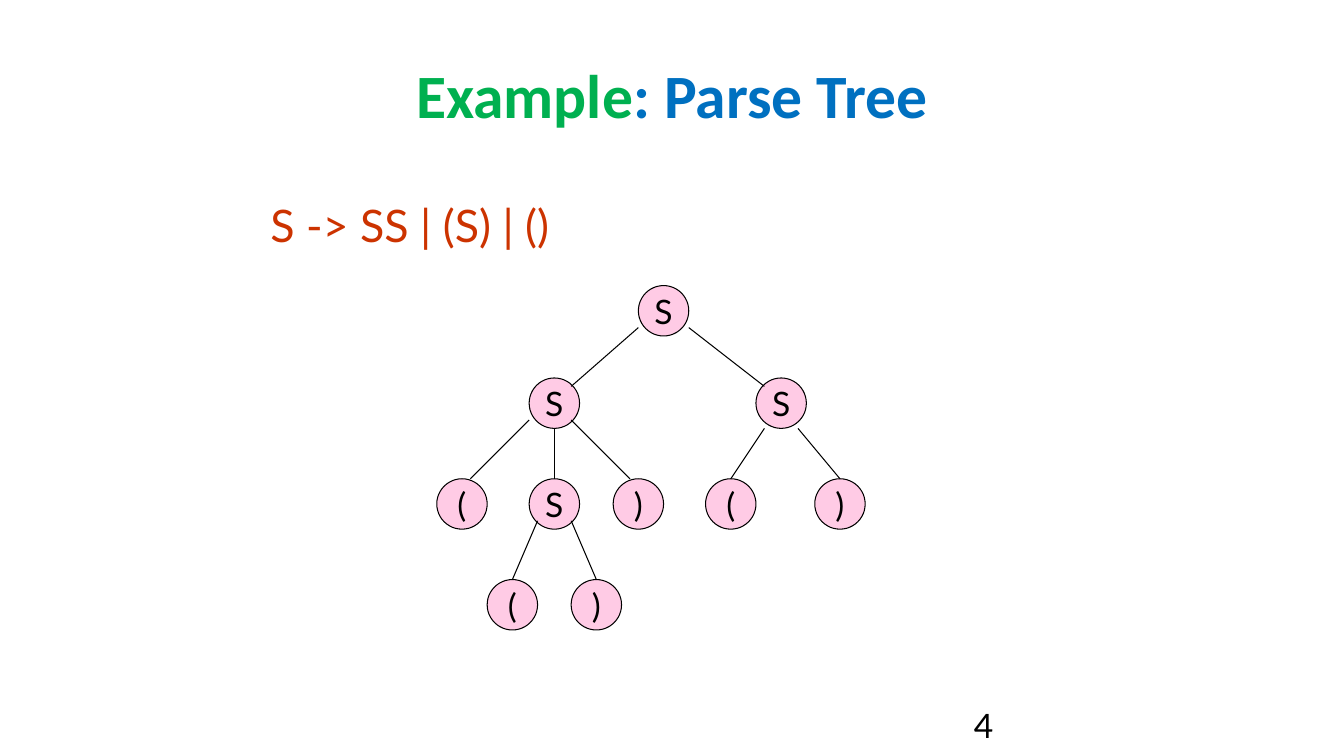
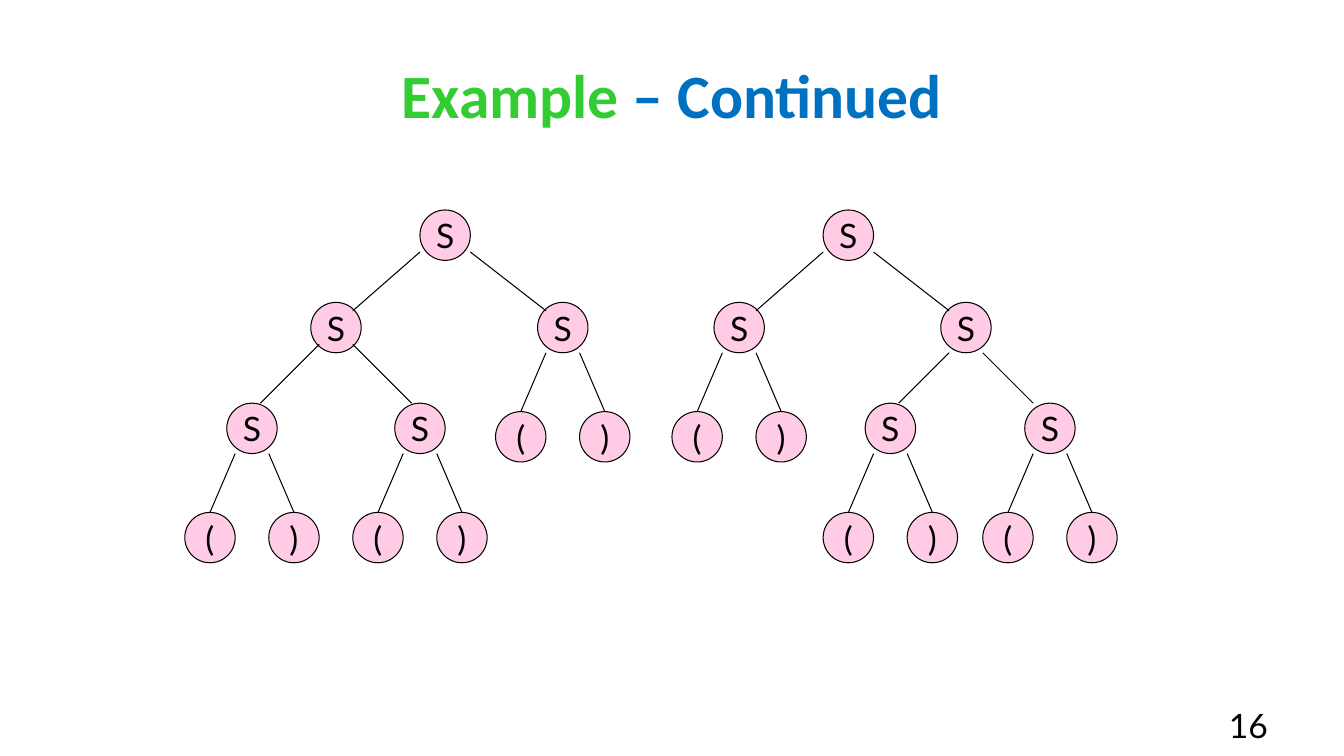
from dataclasses import dataclass

from lxml import etree
from pptx import Presentation
from pptx.dml.color import RGBColor
from pptx.enum.shapes import MSO_CONNECTOR as CONN, MSO_SHAPE as SHAPE
from pptx.enum.text import MSO_ANCHOR as ANCHOR, PP_ALIGN as ALIGN
from pptx.oxml.ns import qn
from pptx.util import Emu, Pt

PX = 9525
NODE = 48
BLACK, PINK, BLUE, RED = "000000", "FF99CC", "0070C0", "CC3300"
GREEN, LIME = "00B050", "33CC33"
TITLE_FONT, BODY_FONT = "Calibri", "Lato"
TOP = (NODE // 2, 0)


@dataclass
class Node:
    """Tree node: offset from its parent, edge start on the parent, edge end on itself."""
    label: str
    offset: tuple
    start: tuple = TOP
    end: tuple = TOP
    kids: tuple = ()


def px(*values):
    """Turn pixel lengths into EMU."""
    return [Emu(v * PX) for v in values]


def rgb(color):
    """Turn a hex string into a colour."""
    return RGBColor.from_string(color)


def shift(point, offset):
    """Move a point by an offset."""
    return point[0] + offset[0], point[1] + offset[1]


def add_run(p, text, size, color, font=BODY_FONT, bold=False):
    """Add one formatted run to a paragraph."""
    r = p.add_run()
    r.text = text
    r.font.name, r.font.size, r.font.bold = font, Pt(size), bold
    r.font.color.rgb = rgb(color)


def add_title(slide, lead, lead_color, rest):
    """Place the two-coloured title in the title placeholder."""
    sp = slide.shapes.title
    sp.left, sp.top, sp.width, sp.height = px(64, 29, 1152, 120)
    tf = sp.text_frame
    tf.vertical_anchor = ANCHOR.MIDDLE
    p = tf.paragraphs[0]
    p.alignment = ALIGN.CENTER
    add_run(p, lead, 44, lead_color, TITLE_FONT, True)
    add_run(p, rest, 44, BLUE, TITLE_FONT, True)


def add_text(slide, box, text, size, color, align=ALIGN.LEFT):
    """Add a one-line text box."""
    tf = slide.shapes.add_textbox(*px(*box)).text_frame
    tf.word_wrap = True
    p = tf.paragraphs[0]
    p.alignment = align
    add_run(p, text, size, color)


def add_number(slide, number, align):
    """Add the slide number at the foot."""
    add_text(slide, (918, 667, 299, 38), number, 24, BLACK, align)


def add_circle(slide, at, label):
    """Add a half-transparent labelled circle."""
    sp = slide.shapes.add_shape(SHAPE.OVAL, *px(*at, NODE, NODE))
    sp.shadow.inherit = False
    sp.fill.solid()
    sp.fill.fore_color.rgb = rgb(PINK)
    fill = sp.fill._xPr.find(qn("a:solidFill"))
    etree.SubElement(fill[0], qn("a:alpha"), val="50000")
    sp.line.color.rgb = rgb(BLACK)
    sp.line.width = Pt(0.75)
    tf = sp.text_frame
    tf.word_wrap = False
    tf.vertical_anchor = ANCHOR.MIDDLE
    p = tf.paragraphs[0]
    p.alignment = ALIGN.CENTER
    add_run(p, label, 24, BLACK)
    return sp


def add_edge(slide, begin, end):
    """Add a thin black line between two points."""
    line = slide.shapes.add_connector(CONN.STRAIGHT, *px(*begin, *end))
    line.line.color.rgb = rgb(BLACK)
    line.line.width = Pt(0.75)
    etree.SubElement(line._element.spPr, qn("a:effectLst"))
    return line


def add_tree(slide, node, origin=(0, 0)):
    """Draw a node, its subtrees and the edges to them."""
    at = shift(origin, node.offset)
    sp = add_circle(slide, at, node.label)
    for kid in node.kids:
        kid_sp = add_tree(slide, kid, at)
        end = shift(shift(at, kid.offset), kid.end)
        edge = add_edge(slide, shift(at, kid.start), end)
        if kid.end == TOP:
            edge.end_connect(kid_sp, 0)
    return sp


def brackets(left=-40, right=40, drop=104, exit_y=NODE):
    """Return the two leaves of S -> ()."""
    return (Node("(", (left, drop), (8, exit_y)),
            Node(")", (right, drop), (40, exit_y)))


def root(at, left_kids, right_kids):
    """Return a root S with two S children."""
    return Node("S", at, kids=(
        Node("S", (-104, 88), (0, 40), (40, 8), left_kids),
        Node("S", (112, 88), (48, 40), (8, 8), right_kids)))


def split(left, right_end, exit_y):
    """Return two S children that each derive ()."""
    return (Node("S", (left, 96), (8, exit_y), (32, 0), brackets()),
            Node("S", (80, 96), (40, exit_y), (right_end, 0), brackets()))


def build_parse_tree(slide):
    """Build the slide with the grammar and one parse tree."""
    add_title(slide, "Example", GREEN, ": Parse Tree")
    add_text(slide, (248, 184, 339, 60), "S -> SS | (S) | ()", 32, RED)
    nested = (Node("(", (-88, 96), (0, 40), (32, 0)),
              Node("S", (0, 96), (24, NODE), TOP, brackets(drop=96, exit_y=40)),
              Node(")", (80, 96), (40, 40), (16, 0)))
    add_tree(slide, root((608, 272), nested, brackets(-48, 56, 96)))
    add_number(slide, "4", ALIGN.LEFT)


def build_two_trees(slide):
    """Build the slide with two parse trees of the same string."""
    add_title(slide, "Example", LIME, " – Continued")
    add_tree(slide, root((400, 200), split(-80, 16, 40), brackets()))
    add_tree(slide, root((784, 200), brackets(), split(-72, 8, NODE)))
    add_number(slide, "16", ALIGN.RIGHT)


def main():
    """Build and save the presentation."""
    prs = Presentation()
    prs.slide_width, prs.slide_height = px(1280, 720)
    for build in (build_parse_tree, build_two_trees):
        build(prs.slides.add_slide(prs.slide_layouts[5]))
    prs.save("out.pptx")


if __name__ == "__main__":
    main()
